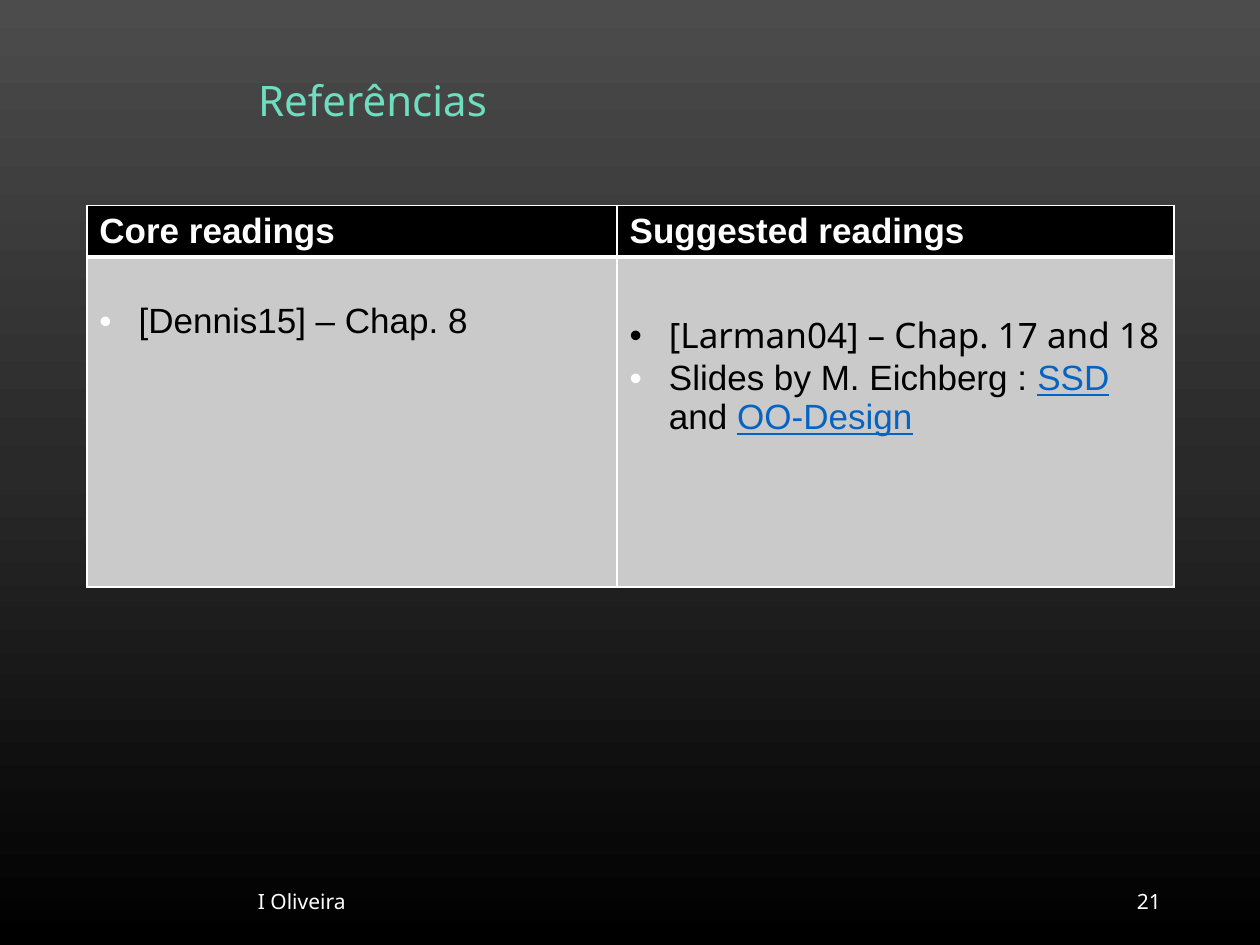
from copy import deepcopy
from lxml import etree
from pptx import Presentation
from pptx import util as u
from pptx.dml.color import RGBColor
from pptx.enum import text
from pptx.oxml.ns import qn

WHITE = RGBColor(0xFF, 0xFF, 0xFF)
BLACK = RGBColor(0, 0, 0)
MINT = RGBColor(0x6E, 0xDE, 0xBF)
GREY = RGBColor(0xCA, 0xCA, 0xCA)
LINK = RGBColor(0x05, 0x63, 0xC1)
BACKGROUND = [
    (0, RGBColor(0x4C, 0x4C, 0x4C)),
    (0.5, RGBColor(0x29, 0x29, 0x29)),
    (1, BLACK),
]
SANS, ARIAL = "Noto Sans", "Arial"

TITLE = "Referências"
FOOTERS = [
    ("I Oliveira", 4.95, 12.04, text.PP_ALIGN.LEFT),
    ("21", 17.93, 5.72, text.PP_ALIGN.RIGHT),
]
READINGS = [
    {
        "heading": "Core readings",
        "width": 10.69,
        "top": 0.91,
        "items": [(ARIAL, WHITE, [("[Dennis15] – Chap. 8", False)])],
    },
    {
        "heading": "Suggested readings",
        "width": 11.23,
        "top": 1.09,
        "items": [
            (SANS, BLACK, [("[Larman04] – Chap. 17 and 18", False)]),
            (ARIAL, WHITE, [
                ("Slides by M. Eichberg : ", False),
                ("SSD", True),
                (" and ", False),
                ("OO-Design", True),
            ]),
        ],
    },
]
ROW_HEIGHTS = [1.04, 6.65]


def set_font(font, name, size, color, bold=False):
    font.name, font.size, font.bold = name, u.Pt(size), bold
    font.color.rgb = color


def add_bullet(paragraph, color):
    properties = paragraph._p.get_or_add_pPr()
    properties.set("marL", str(u.Cm(0.79)))
    properties.set("indent", str(-u.Cm(0.79)))
    bullet_color = etree.SubElement(properties, qn("a:buClr"))
    etree.SubElement(bullet_color, qn("a:srgbClr"), val=str(color))
    etree.SubElement(properties, qn("a:buFont"), typeface=ARIAL)
    etree.SubElement(properties, qn("a:buChar"), char="•")


def format_cell(cell, fill, top_width, bottom_width):
    cell.fill.solid()
    cell.fill.fore_color.rgb = fill
    properties = cell._tc.get_or_add_tcPr()
    widths = [("L", 1), ("R", 1), ("T", top_width), ("B", bottom_width)]
    for position, (side, width) in enumerate(widths):
        line = etree.Element(qn(f"a:ln{side}"), w=str(u.Pt(width)))
        solid = etree.SubElement(line, qn("a:solidFill"))
        etree.SubElement(solid, qn("a:srgbClr"), val=str(WHITE))
        properties.insert(position, line)


def paint_background(slide):
    fill = slide.background.fill
    fill.gradient()
    fill.gradient_angle = 270
    stop_list = slide._element.xpath(".//a:gsLst")[0]
    stop_list.append(deepcopy(stop_list[-1]))
    for stop, (position, color) in zip(fill.gradient_stops, BACKGROUND):
        stop.position = position
        stop.color.rgb = color


def add_title(slide):
    title = slide.shapes.title
    title.left, title.top = u.Cm(4.95), u.Cm(1.02)
    title.width, title.height = u.Cm(18.69), u.Cm(2.11)
    title.text_frame.text = TITLE
    title.text_frame.vertical_anchor = text.MSO_ANCHOR.MIDDLE
    paragraph = title.text_frame.paragraphs[0]
    paragraph.alignment = text.PP_ALIGN.LEFT
    paragraph.line_spacing = 0.9
    set_font(paragraph.font, SANS, 24, MINT)


def add_readings(slide):
    total_width = sum(column["width"] for column in READINGS)
    table = slide.shapes.add_table(
        2, len(READINGS), u.Cm(1.75), u.Cm(4.14),
        u.Cm(total_width), u.Cm(sum(ROW_HEIGHTS))).table
    for row, height in zip(table.rows, ROW_HEIGHTS):
        row.height = u.Cm(height)
    for index, column in enumerate(READINGS):
        table.columns[index].width = u.Cm(column["width"])
        heading, body = table.cell(0, index), table.cell(1, index)
        format_cell(heading, BLACK, 1, 3)
        format_cell(body, GREY, 3, 1)
        heading.text = column["heading"]
        set_font(heading.text_frame.paragraphs[0].font, ARIAL, 20, WHITE, True)
        body.margin_top = u.Cm(column["top"])
        frame = body.text_frame
        for number, (font_name, bullet_color, runs) in enumerate(column["items"]):
            paragraph = frame.add_paragraph() if number else frame.paragraphs[0]
            add_bullet(paragraph, bullet_color)
            set_font(paragraph.font, font_name, 20, BLACK)
            for words, linked in runs:
                run = paragraph.add_run()
                run.text = words
                if linked:
                    run.font.color.rgb = LINK
                    run.font.underline = True


def add_footers(slide):
    for words, left, width, alignment in FOOTERS:
        box = slide.shapes.add_textbox(
            u.Cm(left), u.Cm(17.65), u.Cm(width), u.Cm(1.02))
        frame = box.text_frame
        frame.word_wrap = True
        frame.vertical_anchor = text.MSO_ANCHOR.MIDDLE
        paragraph = frame.paragraphs[0]
        paragraph.text = words
        paragraph.alignment = alignment
        set_font(paragraph.font, SANS, 12, WHITE)


def main():
    presentation = Presentation()
    presentation.slide_width, presentation.slide_height = u.Cm(25.4), u.Cm(19.05)
    slide = presentation.slides.add_slide(presentation.slide_layouts[5])
    paint_background(slide)
    add_title(slide)
    add_readings(slide)
    add_footers(slide)
    presentation.save("out.pptx")


if __name__ == "__main__":
    main()
